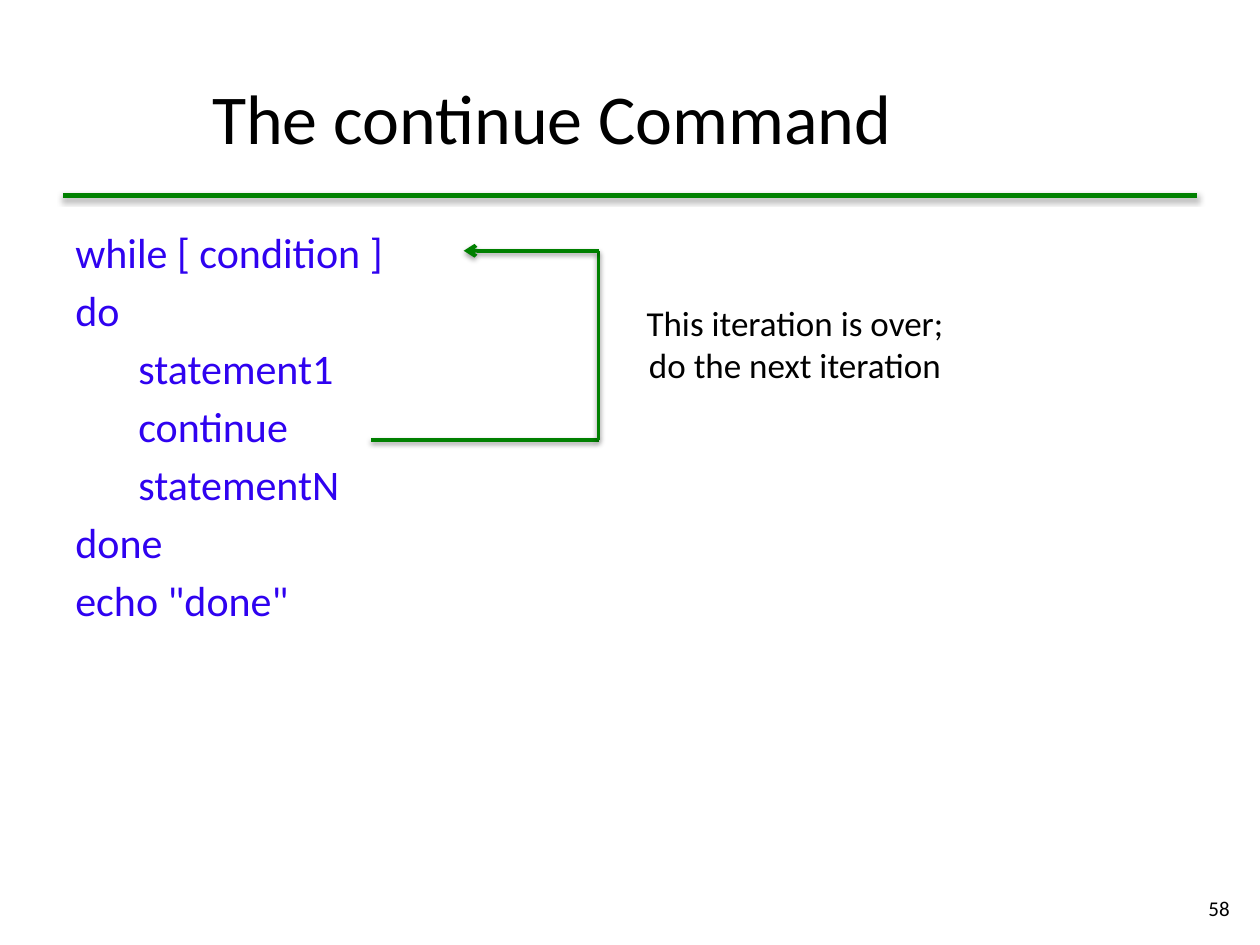
from dataclasses import dataclass

from lxml.etree import SubElement
from pptx import Presentation
from pptx.dml.color import RGBColor
from pptx.enum.shapes import MSO_CONNECTOR as Link
from pptx.enum.text import MSO_ANCHOR as Anchor, PP_ALIGN as Align
from pptx.oxml.ns import qn
from pptx.util import Pt

FONT = "Calibri"
BLACK, GREEN, BLUE = "000000", "008000", "2F02F0"


@dataclass
class Line:
    start: tuple[float, float]
    end: tuple[float, float]
    width: float = 2.25
    arrow: bool = False


@dataclass
class Text:
    box: tuple[float, float, float, float]
    lines: list[str]
    size: float
    color: str = BLACK
    align: Align = Align.LEFT
    anchor: Anchor = Anchor.TOP
    gap: float = 0
    tab: float = 0


def rgb(code: str) -> RGBColor:
    return RGBColor.from_string(code)


def add_shade(props) -> None:
    """Give a shape a soft shadow straight below it."""
    effects = SubElement(props, qn("a:effectLst"))
    shade = SubElement(effects, qn("a:outerShdw"), blurRad=str(Pt(3.1)),
                       dist=str(Pt(1.6)), dir="5400000", rotWithShape="0")
    color = SubElement(shade, qn("a:srgbClr"), val=BLACK)
    SubElement(color, qn("a:alpha"), val="38000")


def draw_line(slide, item: Line) -> None:
    ends = [Pt(n) for n in (*item.start, *item.end)]
    link = slide.shapes.add_connector(Link.STRAIGHT, *ends)
    link.line.color.rgb = rgb(GREEN)
    link.line.width = Pt(item.width)
    if item.arrow:
        SubElement(link.line._get_or_add_ln(), qn("a:tailEnd"), type="arrow")
    add_shade(link._element.spPr)


def fill_text(shape, item: Text) -> None:
    shape.left, shape.top, shape.width, shape.height = map(Pt, item.box)
    frame = shape.text_frame
    frame.word_wrap = True
    frame.vertical_anchor = item.anchor
    frame.text = "\n".join(item.lines)
    for i, para in enumerate(frame.paragraphs):
        para.alignment = item.align
        if i and item.gap:
            para.space_before = Pt(item.gap)
        if item.tab:
            stops = SubElement(para._p.get_or_add_pPr(), qn("a:tabLst"))
            SubElement(stops, qn("a:tab"), pos=str(Pt(item.tab)), algn="l")
        para.font.name = FONT
        para.font.size = Pt(item.size)
        para.font.color.rgb = rgb(item.color)


def draw_text(slide, item: Text) -> None:
    fill_text(slide.shapes.add_textbox(*map(Pt, item.box)), item)


TITLE = Text((114, 21.6, 595.4, 90), ["The continue Command"], 40,
             anchor=Anchor.MIDDLE)

CODE = Text((36, 126, 648, 378.7),
            ["while [ condition ]", "do", "\tstatement1", "\tcontinue",
             "\tstatementN", "done", 'echo "done"'],
            24, BLUE, Align.JUSTIFY, gap=4.3, tab=36)
NOTE = Text((342, 168.5, 224.6, 55.4),
            ["This iteration is over;", "do the next iteration"],
            20, align=Align.CENTER)
NUMBER = Text((681, 504.7, 28.8, 28.8), ["58"], 12, align=Align.RIGHT,
              anchor=Anchor.MIDDLE)

# Loop path: from "continue" out to the right, up, and back to "while"
LOW, HIGH, SIDE = 251.3, 143.3, 342
LINES = [
    Line((36, 111.6), (684, 111.6), 3),
    Line((212, LOW), (SIDE, LOW)),
    Line((SIDE, HIGH), (SIDE, LOW)),
    Line((SIDE, HIGH), (265, HIGH), arrow=True),
]


def main() -> None:
    deck = Presentation()
    deck.slide_width, deck.slide_height = Pt(720), Pt(540)
    slide = deck.slides.add_slide(deck.slide_layouts[5])

    # Title
    fill_text(slide.shapes.title, TITLE)

    # Rule and loop path
    for line in LINES:
        draw_line(slide, line)

    # Code, note and page number
    for text in (CODE, NOTE, NUMBER):
        draw_text(slide, text)

    deck.save("out.pptx")


if __name__ == "__main__":
    main()
